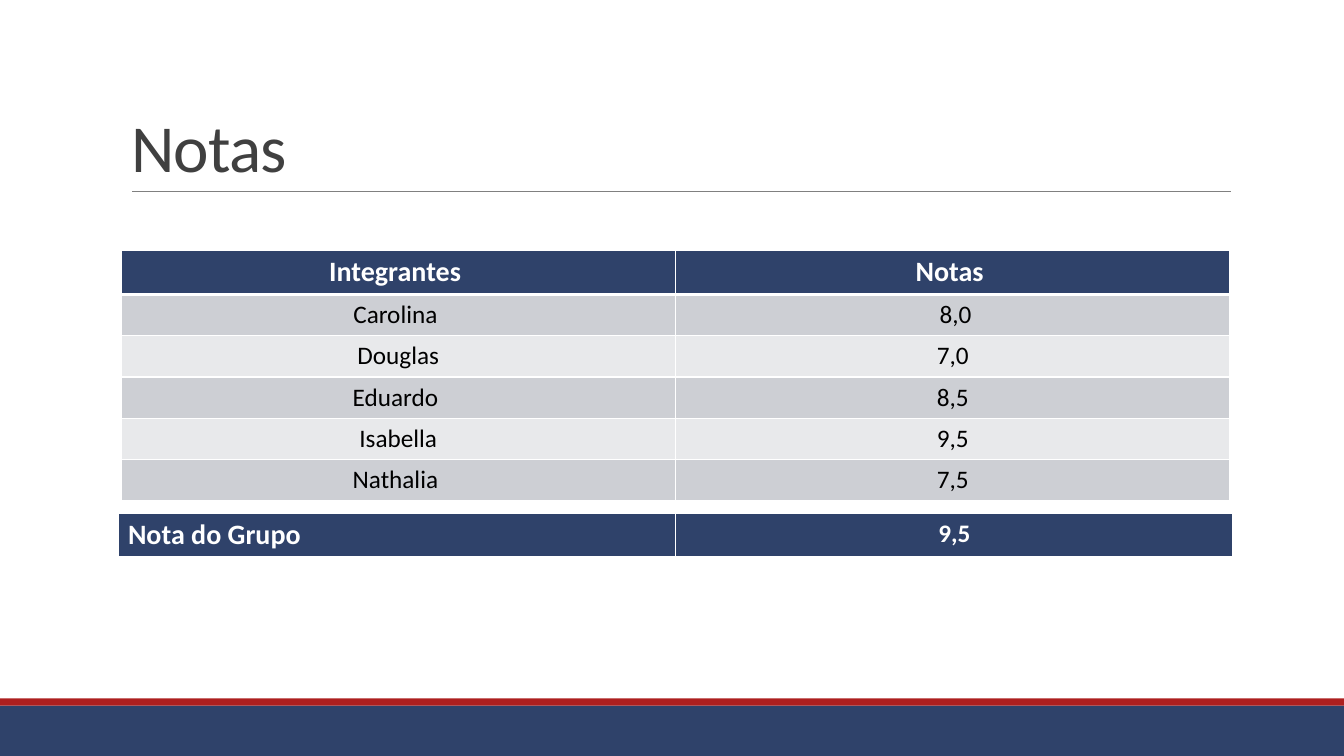
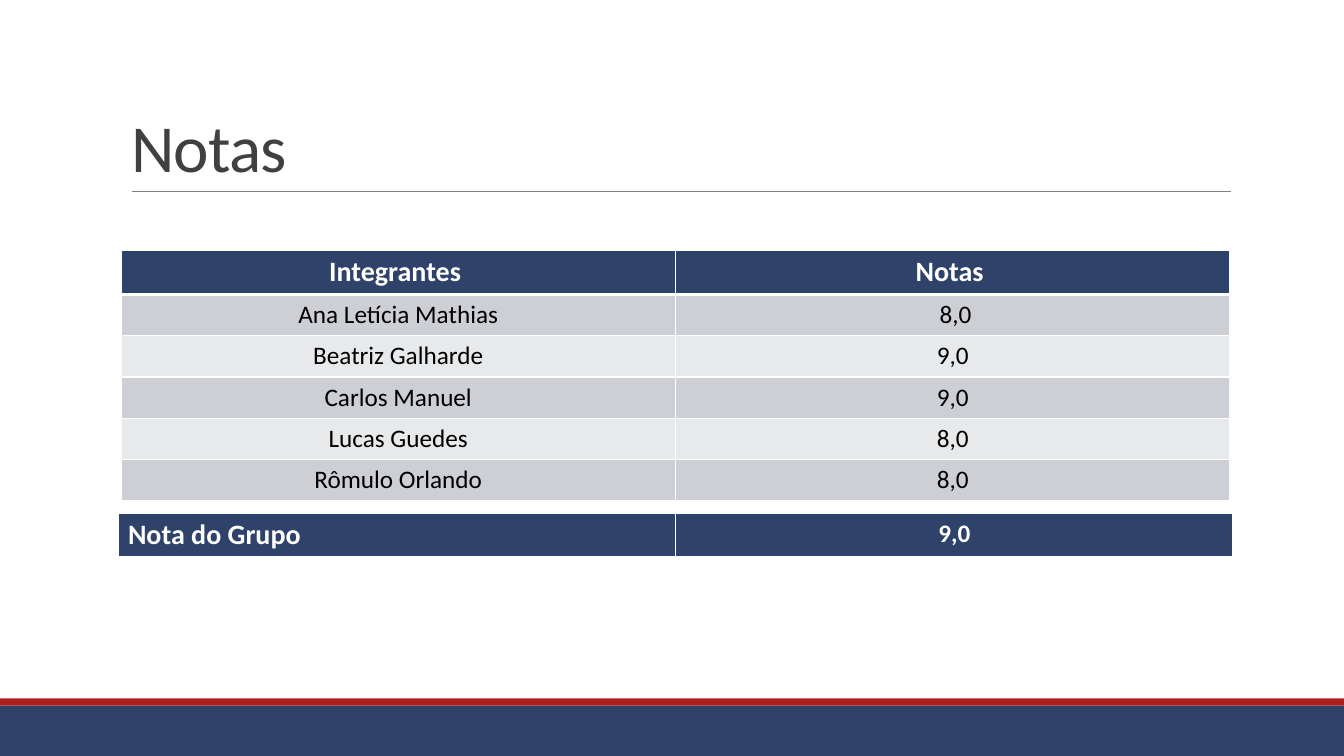
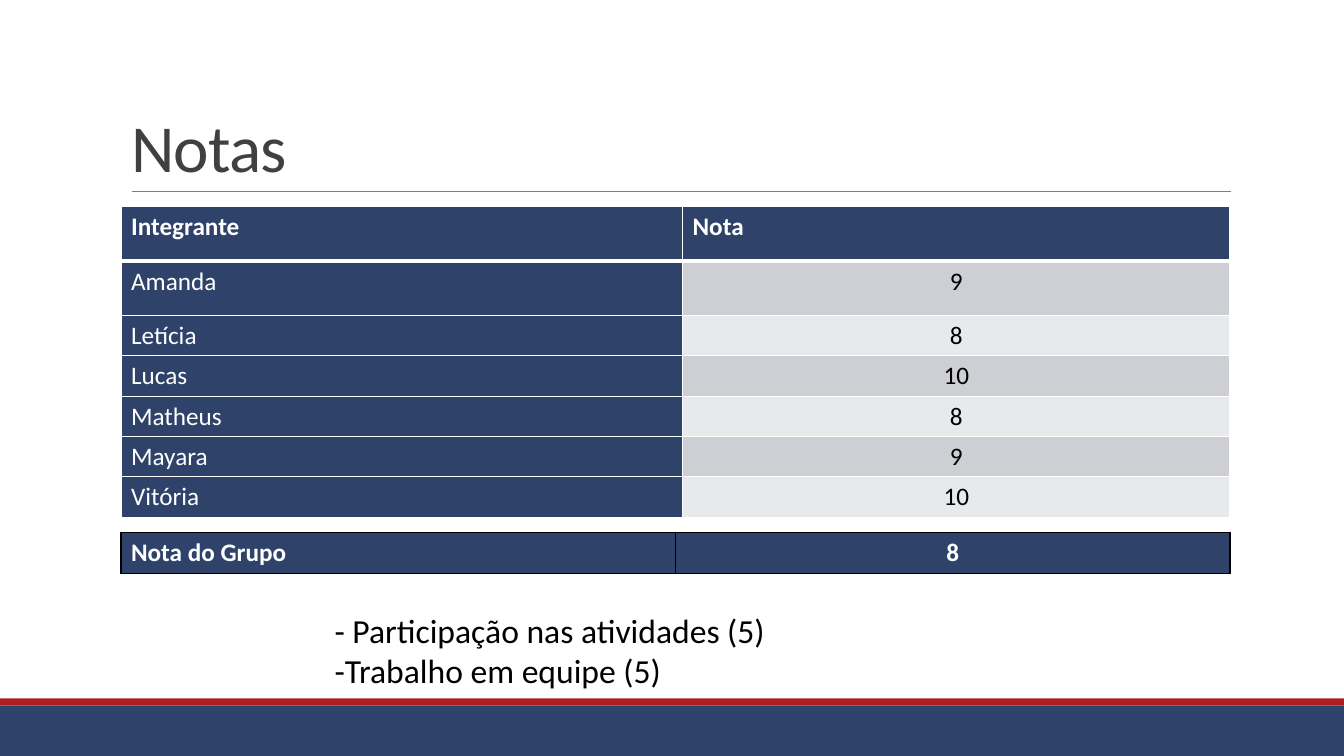
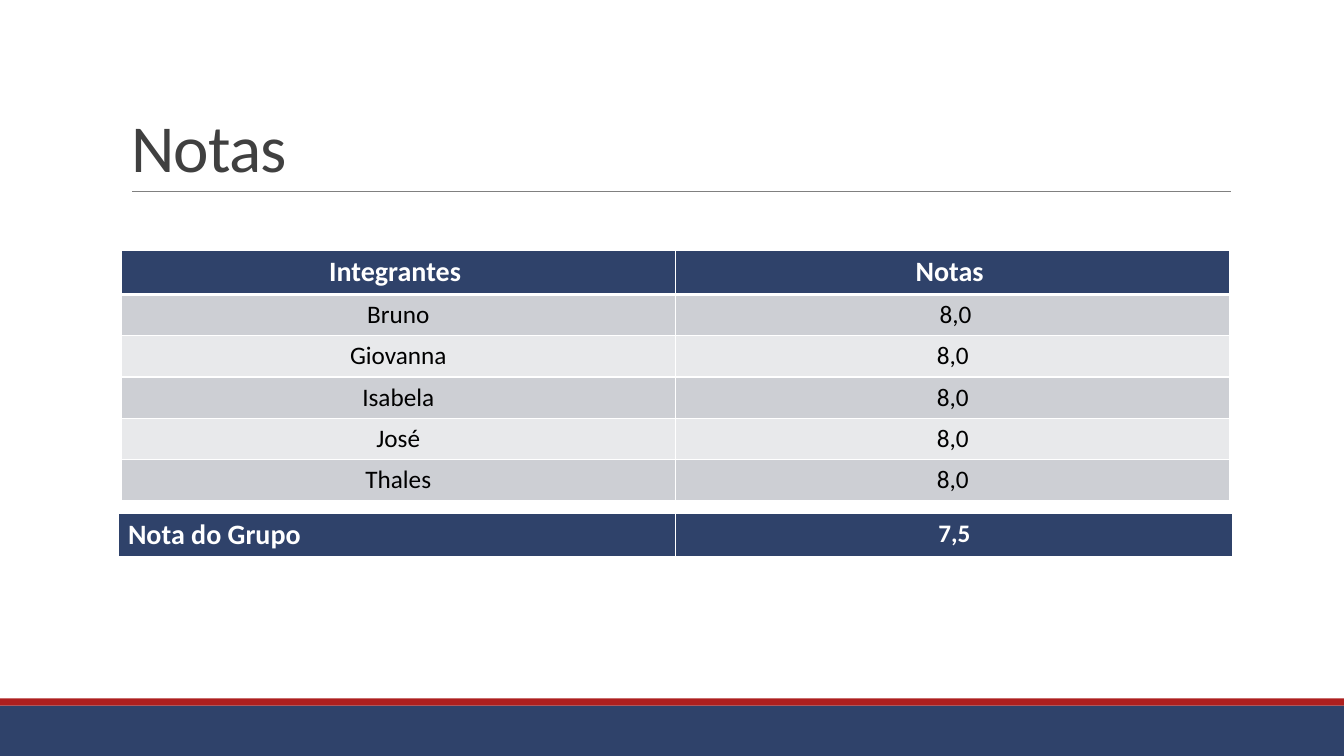
from lxml.etree import SubElement
from pptx import Presentation
from pptx.dml.color import RGBColor
from pptx.enum.shapes import MSO_CONNECTOR, MSO_SHAPE
from pptx.enum.text import MSO_ANCHOR, MSO_AUTO_SIZE, PP_ALIGN
from pptx.oxml.ns import qn
from pptx.util import Inches, Pt

HUES = {
    "navy": "2F426A", "red": "AD1F1F", "rule": "808080", "title": "404040",
    "white": "FFFFFF", "black": "000000", "dark": "CDCFD4", "light": "E8E9EB",
}
LEFT, MID = PP_ALIGN.LEFT, PP_ALIGN.CENTER
LOOKS = {
    "title": {"ink": "title", "size": 48, "bold": False, "align": LEFT},
    "note": {"ink": "black", "size": 24, "bold": False, "align": LEFT},
    "head": {"ink": "white", "size": 20, "bold": True, "align": MID, "fill": "navy"},
    "label": {"ink": "white", "size": 20, "bold": True, "align": LEFT, "fill": "navy"},
    "small": {"ink": "white", "size": 18, "bold": True, "align": LEFT, "fill": "navy"},
    "total": {"ink": "white", "size": 18, "bold": True, "align": MID, "fill": "navy"},
    "name": {"ink": "white", "size": 18, "bold": False, "align": LEFT, "fill": "navy"},
    "dark": {"ink": "black", "size": 18, "bold": False, "align": MID, "fill": "dark"},
    "light": {"ink": "black", "size": 18, "bold": False, "align": MID, "fill": "light"},
}
BANDS = ("dark", "light")

TEAMS = [
    ([("Carolina ", " 8,0"), ("Douglas", "7,0"), ("Eduardo ", "8,5"),
      ("Isabella", "9,5"), ("Nathalia ", "7,5")], "9,5"),
    ([("Ana Letícia Mathias", " 8,0"), ("Beatriz Galharde", "9,0"),
      ("Carlos Manuel", "9,0"), ("Lucas Guedes", "8,0"),
      ("Rômulo Orlando", "8,0")], "9,0"),
    ([("Amanda", "9"), ("Letícia", "8"), ("Lucas", "10"), ("Matheus", "8"),
      ("Mayara", "9"), ("Vitória", "10")], "8"),
    ([("Bruno", " 8,0"), ("Giovanna", "8,0"), ("Isabela", "8,0"),
      ("José", "8,0"), ("Thales", "8,0")], "7,5"),
]


def hue(name):
    return RGBColor.from_string(HUES[name])


class Deck:
    """Holds the shared style and the current slide."""

    def __init__(self):
        self.prs = Presentation()
        self.prs.slide_width = Inches(13.33)
        self.prs.slide_height = Inches(7.5)
        self.layout = self.prs.slide_layouts[5]
        self.slide = None

    def start(self, title):
        """Add a slide with the bands, the rule and the title."""
        self.slide = self.prs.slides.add_slide(self.layout)
        self.band(7, 0.5, "navy")
        self.band(6.93, 0.07, "red")
        self.line(1.31, 12.21, 1.9)
        shape = self.slide.shapes.title
        self.place(shape, 1.2, 0.31, 11, 1.59)
        frame = shape.text_frame
        frame.auto_size = MSO_AUTO_SIZE.NONE
        frame.vertical_anchor = MSO_ANCHOR.BOTTOM
        para = frame.paragraphs[0]
        para.line_spacing = 0.85
        run = self.put(para, title, "title")
        run._r.get_or_add_rPr().set("spc", "-50")

    def place(self, shape, *box):
        for key, value in zip(("left", "top", "width", "height"), box):
            setattr(shape, key, Inches(value))

    def put(self, para, text, look):
        """Add text to a paragraph in one of the looks."""
        look = LOOKS[look]
        para.alignment = look["align"]
        run = para.add_run()
        run.text = text
        style = {"name": "Calibri", "size": Pt(look["size"]), "bold": look["bold"]}
        for key, value in style.items():
            setattr(run.font, key, value)
        run.font.color.rgb = hue(look["ink"])
        return run

    def band(self, top, height, fill):
        shape = self.slide.shapes.add_shape(
            MSO_SHAPE.RECTANGLE, 0, Inches(top), self.prs.slide_width, Inches(height))
        shape.shadow.inherit = False
        shape.fill.solid()
        shape.fill.fore_color.rgb = hue(fill)
        shape.line.fill.background()

    def line(self, start, end, top):
        rule = self.slide.shapes.add_connector(
            MSO_CONNECTOR.STRAIGHT, Inches(start), Inches(top), Inches(end), Inches(top))
        rule.line.color.rgb = hue("rule")
        rule.line.width = Pt(0.5)
        SubElement(rule._element.spPr, qn("a:effectLst"))

    def note(self, box, lines):
        shape = self.slide.shapes.add_textbox(*map(Inches, box))
        frame = shape.text_frame
        frame.word_wrap = True
        for i, text in enumerate(lines):
            para = frame.add_paragraph() if i else frame.paragraphs[0]
            self.put(para, text, "note")

    def edge(self, cell, side, width, ink):
        props = cell._tc.get_or_add_tcPr()
        line = SubElement(props, qn(f"a:ln{side}"), w=str(Pt(width)))
        fill = SubElement(line, qn("a:solidFill"))
        SubElement(fill, qn("a:srgbClr"), val=HUES[ink])

    def grid(self, left, top, cols, rows, cells, ink="white", heavy=1):
        """Add a table of (text, look) cells; heavy is the row line drawn at 3 pt."""
        box = map(Inches, (left, top, sum(cols), sum(rows)))
        table = self.slide.shapes.add_table(len(rows), len(cols), *box).table
        for col, width in zip(table.columns, cols):
            col.width = Inches(width)
        for r, items in enumerate(cells):
            table.rows[r].height = Inches(rows[r])
            sides = {"L": 1, "R": 1, "T": 3 if r == heavy else 1,
                     "B": 3 if r + 1 == heavy else 1}
            for c, (text, look) in enumerate(items):
                cell = table.cell(r, c)
                for side, width in sides.items():
                    self.edge(cell, side, width, ink)
                cell.fill.solid()
                cell.fill.fore_color.rgb = hue(LOOKS[look]["fill"])
                self.put(cell.text_frame.paragraphs[0], text, look)

    def plain(self, marks, total):
        """Add the centred grade table and the group's row."""
        cells = [[("Integrantes ", "head"), ("Notas ", "head")]]
        for i, pair in enumerate(marks):
            cells.append([(text, BANDS[i % 2]) for text in pair])
        self.grid(1.2, 2.48, [5.5] * 2, [0.41] * len(cells), cells)
        self.grid(1.17, 5.09, [5.53] * 2, [0.42],
                  [[("Nota do Grupo", "label"), (total, "total")]])

    def named(self, marks, total):
        """Add the grade table with a navy name column, the group's row and a note."""
        self.note((3.22, 6, 7.04, 1.21),
                  ["- Participação nas atividades (5)", "-Trabalho em equipe (5)"])
        self.grid(1.2, 5.28, [5.5] * 2, [0.41],
                  [[("Nota do Grupo", "small"), (total, "total")]], "black", None)
        cells = [[("Integrante", "small"), ("Nota", "small")]]
        for i, (name, mark) in enumerate(marks):
            cells.append([(name, "name"), (mark, BANDS[i % 2])])
        rows = [0.54] * 2 + [0.4] * (len(marks) - 1)
        self.grid(1.2, 2.05, [5.57, 5.43], rows, cells)


def main():
    deck = Deck()
    kinds = (deck.plain, deck.plain, deck.named, deck.plain)
    for draw, (marks, total) in zip(kinds, TEAMS):
        deck.start("Notas")
        draw(marks, total)
    deck.prs.save("out.pptx")


if __name__ == "__main__":
    main()
